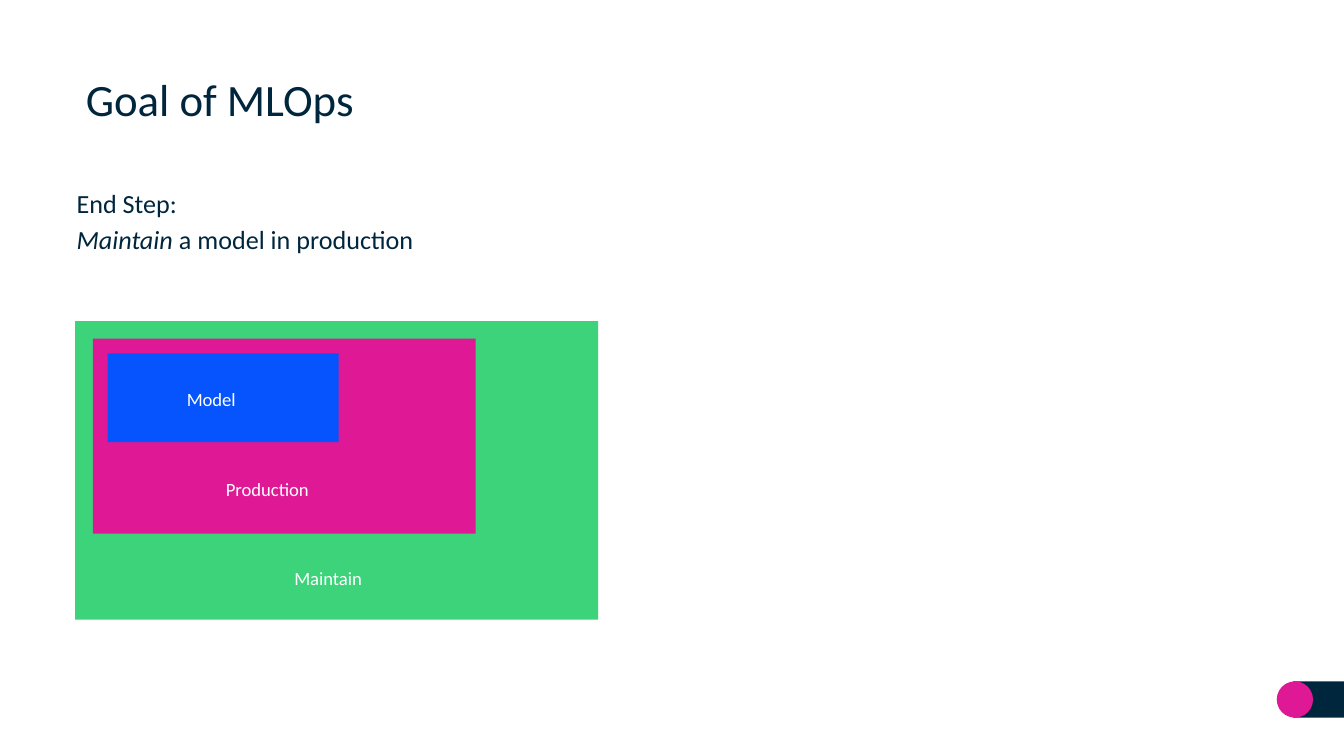
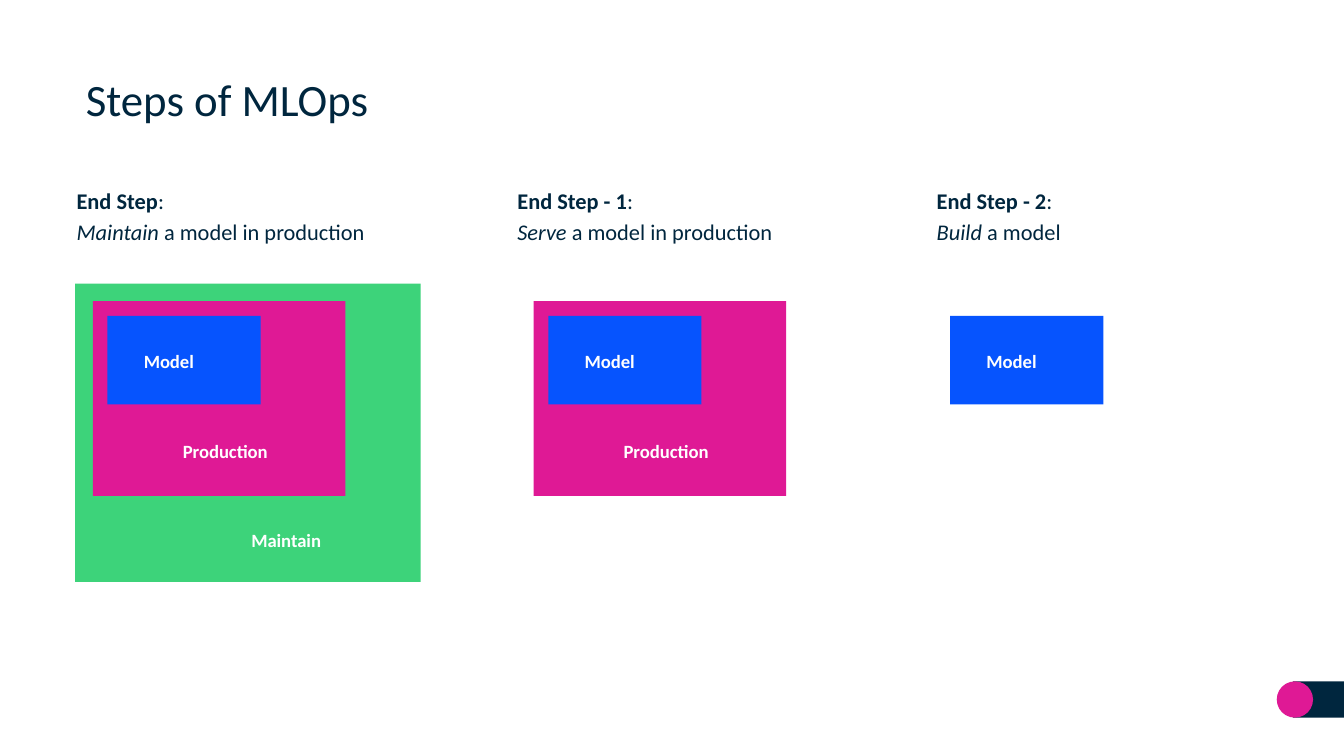
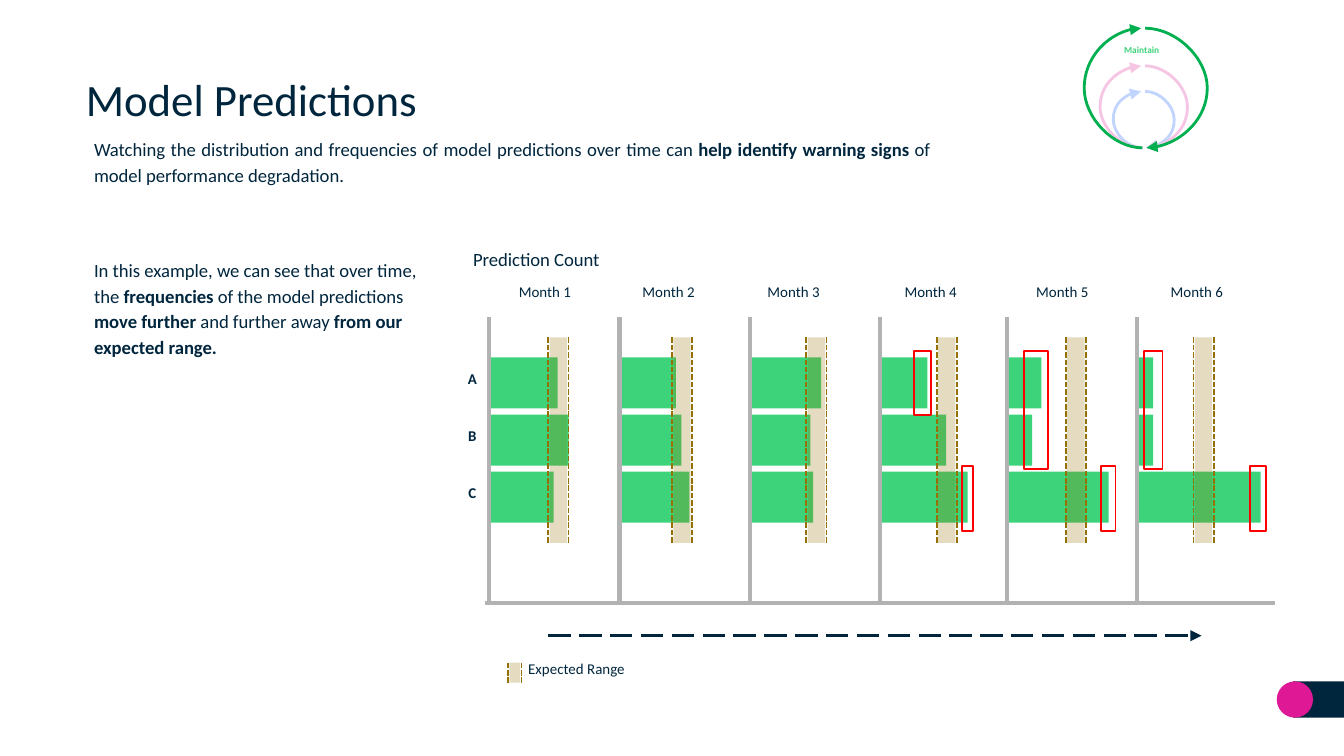
import collections

import lxml.etree
import pptx
import pptx.dml.color
import pptx.enum.dml
import pptx.enum.shapes
import pptx.enum.text
import pptx.oxml.ns
import pptx.util

Inches = pptx.util.Inches
RGBColor = pptx.dml.color.RGBColor
SHAPE = pptx.enum.shapes.MSO_SHAPE
CONNECTOR = pptx.enum.shapes.MSO_CONNECTOR
DASH = pptx.enum.dml.MSO_LINE
ALIGN = pptx.enum.text.PP_ALIGN
qn = pptx.oxml.ns.qn

FONT = "Calibri"
NAVY = RGBColor(0x00, 0x26, 0x3E)
PINK = RGBColor(0xDF, 0x19, 0x95)
GREEN = RGBColor(0x3D, 0xD3, 0x7A)
BLUE = RGBColor(0x06, 0x54, 0xFE)
WHITE = RGBColor(0xFF, 0xFF, 0xFF)
GREY = RGBColor(0xB2, 0xB2, 0xB2)
OCHRE = RGBColor(0x95, 0x71, 0x04)
RED = RGBColor(0xFF, 0x00, 0x00)
DARK_GREEN = RGBColor(0x00, 0xB0, 0x50)

Level = collections.namedtuple("Level", "fill inset height label_x label_y label_width")
LEVELS = {
    "Maintain": Level(GREEN, 0, 2.22, 1.3, 1.79, 0.89),
    "Production": Level(PINK, 0.13, 1.45, 0.79, 1.13, 0.89),
    "Model": Level(BLUE, 0.24, 0.66, 0.5, 0.46, 0.55),
}
WIDE = {"Maintain": 3.89, "Production": 2.85, "Model": 1.72}
NARROW = {"Maintain": 2.57, "Production": 1.88, "Model": 1.14}

Month = collections.namedtuple("Month", "axis label_left range_left lengths")
MONTHS = [
    Month(3.64, 3.85, 4.08, (0.51, 0.59, 0.48)),
    Month(4.61, 4.77, 5.0, (0.42, 0.46, 0.52)),
    Month(5.58, 5.7, 6.0, (0.53, 0.45, 0.47)),
    Month(6.55, 6.72, 6.97, (0.35, 0.49, 0.65)),
    Month(7.49, 7.7, 7.93, (0.26, 0.19, 0.76)),
    Month(8.46, 8.7, 8.88, (0.12, 0.12, 0.92)),
]
WARNINGS = [
    (7.16, 3.47, 0.08, 0.48),
    (6.8, 2.61, 0.13, 0.48),
    (7.62, 2.61, 0.18, 0.88),
    (8.19, 3.47, 0.11, 0.48),
    (8.51, 2.61, 0.14, 0.88),
    (9.3, 3.47, 0.12, 0.48),
]
Loop = collections.namedtuple("Loop", "colour top left_reach right_reach")
INNER_LOOPS = [Loop(BLUE, 0.68, 0.22, 0.22), Loop(PINK, 0.49, 0.32, 0.32)]
OUTER_LOOP = Loop(DARK_GREEN, 0.21, 0.44, 0.47)
LOOP_BOTTOM = 1.1


def add_block(slide, kind, left, top, width, height, fill=None, opacity=100, outline=None):
    block = slide.shapes.add_shape(
        kind, Inches(left), Inches(top), Inches(width), Inches(height))
    block.shadow.inherit = False
    if fill is None:
        block.fill.background()
    else:
        block.fill.solid()
        block.fill.fore_color.rgb = fill
    if opacity < 100:
        colour = block._element.spPr.find(".//" + qn("a:srgbClr"))
        lxml.etree.SubElement(colour, qn("a:alpha")).set("val", str(opacity * 1000))
    if outline is None:
        block.line.fill.background()
    else:
        block.line.color.rgb = outline
        block.line.width = pptx.util.Pt(1)


def add_text(slide, left, top, width, height, paragraphs, size, colour=NAVY,
             align=ALIGN.LEFT, inset=0.01, spacing=1.15):
    box = slide.shapes.add_textbox(
        Inches(left), Inches(top), Inches(width), Inches(height))
    frame = box.text_frame
    frame.word_wrap = True
    frame.margin_left = frame.margin_right = Inches(inset)
    frame.margin_top = frame.margin_bottom = Inches(inset)
    for index, runs in enumerate(paragraphs):
        paragraph = frame.paragraphs[0] if index == 0 else frame.add_paragraph()
        paragraph.alignment = align
        paragraph.line_spacing = spacing
        for words, style in runs:
            run = paragraph.add_run()
            run.text = words
            run.font.name = FONT
            run.font.size = pptx.util.Pt(size)
            run.font.color.rgb = colour
            run.font.bold = style == "bold"
            run.font.italic = style == "italic"
    return frame


def add_line(slide, start, end, colour, weight, dash=None, arrow=False, kind=CONNECTOR.STRAIGHT):
    line = slide.shapes.add_connector(kind, *map(Inches, start + end))
    line.line.color.rgb = colour
    line.line.width = pptx.util.Pt(weight)
    if dash is not None:
        line.line.dash_style = dash
    properties = line._element.spPr
    if arrow:
        outline = properties.find(qn("a:ln"))
        lxml.etree.SubElement(outline, qn("a:tailEnd")).set("type", "triangle")
    lxml.etree.SubElement(properties, qn("a:effectLst"))
    return line


def add_arc(slide, left, top, reach, colour, rotated):
    width = 0.01
    arc = add_line(slide, (left, top), (left + width, LOOP_BOTTOM), colour, 1.5,
                   arrow=True, kind=CONNECTOR.CURVE)
    properties = arc._element.spPr
    if rotated:
        properties.find(qn("a:xfrm")).set("rot", "10800000")
    geometry = properties.find(qn("a:prstGeom"))
    adjustments = geometry.find(qn("a:avLst"))
    if adjustments is None:
        adjustments = lxml.etree.SubElement(geometry, qn("a:avLst"))
    guide = lxml.etree.SubElement(adjustments, qn("a:gd"))
    guide.set("name", "adj1")
    guide.set("fmla", f"val {round(reach / width * 100000)}")


def add_loop(slide, loop):
    add_arc(slide, 8.49, loop.top, loop.left_reach, loop.colour, True)
    add_arc(slide, 8.52, loop.top, loop.right_reach, loop.colour, False)


def add_titled_slide(deck, title):
    slide = deck.slides.add_slide(deck.slide_layouts[6])
    add_block(slide, SHAPE.RECTANGLE, 9.62, 5.07, 0.38, 0.27, NAVY)
    add_block(slide, SHAPE.OVAL, 9.5, 5.07, 0.27, 0.27, PINK)
    frame = add_text(slide, 0.54, 0.46, 8.95, 0.55, [[(title, "")]], 24, inset=0.1, spacing=1)
    frame.vertical_anchor = pptx.enum.text.MSO_ANCHOR.MIDDLE
    return slide


def add_nested_boxes(slide, left, top, labels, widths, label_shift=0, style=""):
    for label in labels:
        level = LEVELS[label]
        add_block(slide, SHAPE.RECTANGLE, left + level.inset, top + level.inset,
                  widths[label], level.height, level.fill)
    for label in labels:
        level = LEVELS[label]
        add_text(slide, left + level.label_x + label_shift, top + level.label_y,
                 level.label_width, 0.21, [[(label, style)]], 10, WHITE)


def add_expected_range(slide, left, top, width, height):
    for x in (left, left + width):
        add_line(slide, (x, top), (x, top + height), OCHRE, 1, DASH.SQUARE_DOT)
    add_block(slide, SHAPE.RECTANGLE, left + 0.01, top, width - 0.02, height, OCHRE, 25)


def add_prediction_counts(slide):
    bar_tops = [2.66 + 0.85 * row / 2 for row in range(3)]
    for month in MONTHS:
        for top, length in zip(bar_tops, month.lengths):
            add_block(slide, SHAPE.RECTANGLE, month.axis, top, length, 0.38, GREEN)
    for category, top in zip("ABC", bar_tops):
        add_text(slide, 3.45, top + 0.06, 0.13, 0.18, [[(category, "bold")]], 8,
                 align=ALIGN.CENTER)
    for number, month in enumerate(MONTHS, 1):
        add_text(slide, month.label_left, 2.07, 0.49, 0.18, [[(f"Month {number}", "")]], 8)
        add_line(slide, (month.axis, 2.36), (month.axis, 4.49), GREY, 2.25)
        add_expected_range(slide, month.range_left, 2.51, 0.15, 1.53)
    add_line(slide, (9.49, 4.49), (3.61, 4.49), GREY, 2.25)
    add_text(slide, 3.51, 1.81, 1.48, 0.21, [[("Prediction Count", "")]], 10)
    add_line(slide, (4.08, 4.73), (8.94, 4.73), NAVY, 1.5, DASH.LONG_DASH, arrow=True)
    for warning in WARNINGS:
        add_block(slide, SHAPE.RECTANGLE, *warning, outline=RED)
    add_text(slide, 3.92, 4.88, 0.99, 0.18, [[("Expected Range", "")]], 8)
    add_expected_range(slide, 3.78, 4.93, 0.1, 0.15)


def add_maintain_loops(slide):
    for loop in INNER_LOOPS:
        add_loop(slide, loop)
    add_block(slide, SHAPE.OVAL, 8.02, 0.15, 1, 1, WHITE, 75)
    add_loop(slide, OUTER_LOOP)
    add_text(slide, 8.13, 0.31, 0.73, 0.12, [[("Maintain", "bold")]], 5, GREEN, ALIGN.CENTER)


def build_goal(deck):
    slide = add_titled_slide(deck, "Goal of MLOps")
    add_text(slide, 0.56, 1.35, 3.54, 0.56, [
        [("End Step:", "")],
        [("Maintain", "italic"), (" a model in production", "")],
    ], 14)
    add_nested_boxes(slide, 0.56, 2.39, list(LEVELS), WIDE, label_shift=0.32)


def build_steps(deck):
    slide = add_titled_slide(deck, "Steps of MLOps")
    steps = [
        (0.56, 2.79, "End Step", "Maintain", " a model in production", 0.56),
        (3.84, 2.53, "End Step - 1", "Serve", " a model in production", 3.84),
        (6.96, 1.4, "End Step - 2", "Build", " a model", 6.83),
    ]
    for index, (left, width, step, verb, rest, boxes_left) in enumerate(steps):
        add_text(slide, left, 1.35, width, 0.48, [
            [(step, "bold"), (":", "")],
            [(verb, "italic"), (rest, "")],
        ], 12)
        add_nested_boxes(slide, boxes_left, 2.11, list(LEVELS)[index:], NARROW, style="bold")


def build_predictions(deck):
    slide = add_titled_slide(deck, "Model Predictions")
    add_prediction_counts(slide)
    add_text(slide, 0.69, 0.99, 6.24, 0.41, [[
        ("Watching the distribution and frequencies of model predictions over time can ", ""),
        ("help identify warning signs ", "bold"),
        ("of model performance degradation.", ""),
    ]], 10, align=ALIGN.JUSTIFY)
    add_text(slide, 0.69, 1.89, 2.59, 0.99, [[
        ("In this example, we can see that over time, the ", ""),
        ("frequencies", "bold"),
        (" of the model predictions ", ""),
        ("move further ", "bold"),
        ("and further away ", ""),
        ("from our expected range.", "bold"),
    ]], 10)
    add_maintain_loops(slide)


def main():
    deck = pptx.Presentation()
    deck.slide_width = Inches(10)
    deck.slide_height = deck.slide_width * 9 // 16
    build_goal(deck)
    build_steps(deck)
    build_predictions(deck)
    deck.save("out.pptx")


if __name__ == "__main__":
    main()
